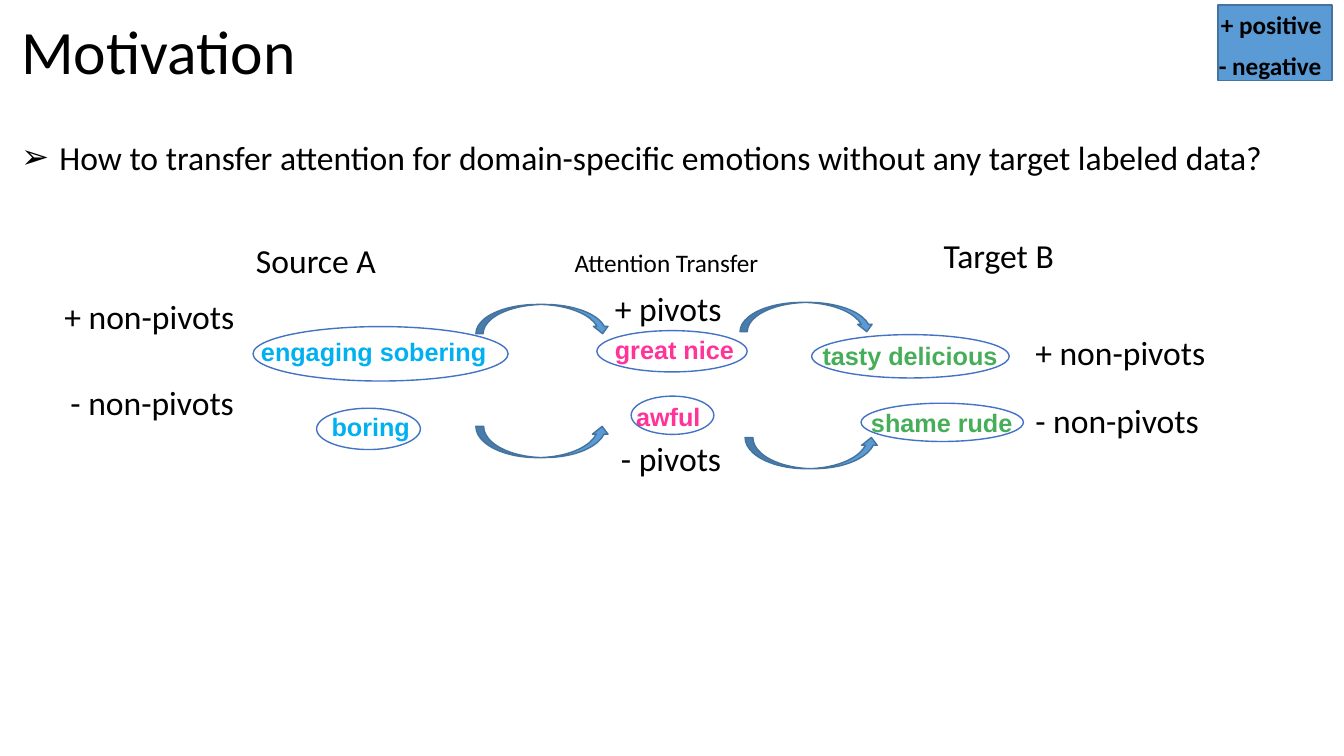
from lxml.etree import SubElement
from pptx import Presentation
from pptx.dml.color import RGBColor
from pptx.enum.shapes import MSO_SHAPE
from pptx.enum.text import MSO_ANCHOR, MSO_AUTO_SIZE, PP_ALIGN
from pptx.oxml.ns import qn
from pptx.util import Inches, Pt

COLORS = {
    "text": "000000",
    "source": "00B0F0",
    "pivot": "FF3399",
    "target": "46AE58",
    "outline": "4472C4",
    "fill": "5B9BD5",
    "edge": "43739E",
}


def rgb(name):
    return RGBColor.from_string(COLORS[name])


def place(shape, box):
    shape.left, shape.top, shape.width, shape.height = map(Inches, box)


def write(frame, text, size=24, font="Calibri", color="text", bold=False,
          wrap=False, anchor=MSO_ANCHOR.TOP):
    frame.word_wrap = wrap
    frame.auto_size = MSO_AUTO_SIZE.NONE
    frame.vertical_anchor = anchor
    paragraph = frame.paragraphs[0]
    paragraph.alignment = PP_ALIGN.LEFT
    paragraph.space_before = Pt(0)
    run = paragraph.add_run()
    run.text = text
    run.font.size = Pt(size)
    run.font.name = font
    run.font.bold = bold
    run.font.color.rgb = rgb(color)
    return paragraph


def add_label(slide, box, text, **style):
    label = slide.shapes.add_textbox(*map(Inches, box))
    write(label.text_frame, text, **style)


def add_outlined(slide, kind, box, fill=None, line="edge"):
    shape = slide.shapes.add_shape(kind, *map(Inches, box))
    shape.shadow.inherit = False
    if fill:
        shape.fill.solid()
        shape.fill.fore_color.rgb = rgb(fill)
    else:
        shape.fill.background()
    shape.line.color.rgb = rgb(line)
    shape.line.width = Pt(1)


def add_emotion(slide, box, words, color, dx, dy, width):
    """Ring at box, with its words offset by dx and dy from the ring's corner."""
    left, top = box[:2]
    add_label(slide, (left + dx, top + dy, width, 0.4), words,
              size=18, font="Arial", color=color, bold=True)
    add_outlined(slide, MSO_SHAPE.OVAL, box, line="outline")


def add_heading(slide, left, top):
    title = slide.shapes.title
    place(title, (left, top, 11.5, 1))
    write(title.text_frame, "Motivation", size=44, wrap=True,
          anchor=MSO_ANCHOR.MIDDLE).line_spacing = 0.9

    question = slide.placeholders[1]
    place(question, (left, top + 1.27, 12.69, 0.5))
    paragraph = write(
        question.text_frame,
        "How to transfer attention for domain-specific emotions "
        "without any target labeled data?", wrap=True)
    properties = paragraph._p.get_or_add_pPr()
    properties.set("marL", str(Inches(0.38)))
    properties.set("indent", str(Inches(-0.38)))
    SubElement(properties, qn("a:buFont")).set("typeface", "Arial")
    SubElement(properties, qn("a:buChar")).set("char", "➢")


def add_legend(slide, left, top):
    add_outlined(slide, MSO_SHAPE.RECTANGLE, (left, top, 1.13, 0.75), fill="fill")
    add_label(slide, (left - 0.07, top - 0.01, 1.21, 0.4), "+ positive",
              size=18, bold=True)
    add_label(slide, (left - 0.09, top + 0.4, 1.23, 0.4), "- negative",
              size=18, bold=True)


def add_source(slide, left, top):
    add_label(slide, (left + 1.9, top, 1.55, 0.5), "Source A", wrap=True)
    add_label(slide, (left, top + 0.56, 1.9, 0.5), "+ non-pivots")
    add_label(slide, (left + 0.06, top + 1.41, 1.84, 0.5), "- non-pivots")
    add_emotion(slide, (left + 1.97, top + 0.91, 2.53, 0.54),
                "engaging sobering", "source", -0.02, 0.05, 2.45)
    add_emotion(slide, (left + 2.6, top + 1.72, 1.03, 0.41),
                "boring", "source", 0.05, -0.02, 0.99)


def add_pivots(slide, left, top):
    add_label(slide, (left, top, 2.07, 0.4), "Attention Transfer",
              size=18, wrap=True)
    add_label(slide, (left + 0.4, top + 0.41, 1.27, 0.5), "+ pivots")
    add_label(slide, (left + 0.46, top + 1.9, 1.21, 0.5), "- pivots")
    add_emotion(slide, (left + 0.32, top + 0.88, 1.49, 0.41),
                "great nice", "pivot", 0.08, -0.01, 1.39)
    add_emotion(slide, (left + 0.66, top + 1.53, 0.82, 0.38),
                "awful", "pivot", -0.05, 0, 0.85)


def add_target(slide, left, top):
    add_label(slide, (left + 1.21, top, 1.44, 0.5), "Target B", wrap=True)
    add_label(slide, (left + 2.12, top + 0.96, 1.9, 0.5), "+ non-pivots")
    add_label(slide, (left + 2.12, top + 1.64, 1.84, 0.5), "- non-pivots")
    add_emotion(slide, (left, top + 1.04, 1.96, 0.43),
                "tasty delicious", "target", 0.01, 0.01, 1.96)
    add_emotion(slide, (left + 0.49, top + 1.72, 1.61, 0.38),
                "shame rude", "target", 0, -0.01, 1.62)


def add_transfer_arrows(slide):
    down, up = MSO_SHAPE.CURVED_DOWN_ARROW, MSO_SHAPE.CURVED_UP_ARROW
    for kind, left, top, height in (
            (down, 4.72, 3.02, 0.29), (down, 7.34, 3, 0.29),
            (up, 4.72, 4.23, 0.31), (up, 7.39, 4.34, 0.31)):
        add_outlined(slide, kind, (left, top, 1.33, height), fill="fill")


def main():
    deck = Presentation()
    deck.slide_width, deck.slide_height = Inches(13.33), Inches(7.5)
    slide = deck.slides.add_slide(deck.slide_layouts[1])
    add_heading(slide, 0.11, 0.04)
    add_source(slide, 0.54, 2.33)
    add_pivots(slide, 5.6, 2.4)
    add_target(slide, 8.05, 2.28)
    add_transfer_arrows(slide)
    add_legend(slide, 12.08, 0.05)
    deck.save("out.pptx")


if __name__ == "__main__":
    main()
